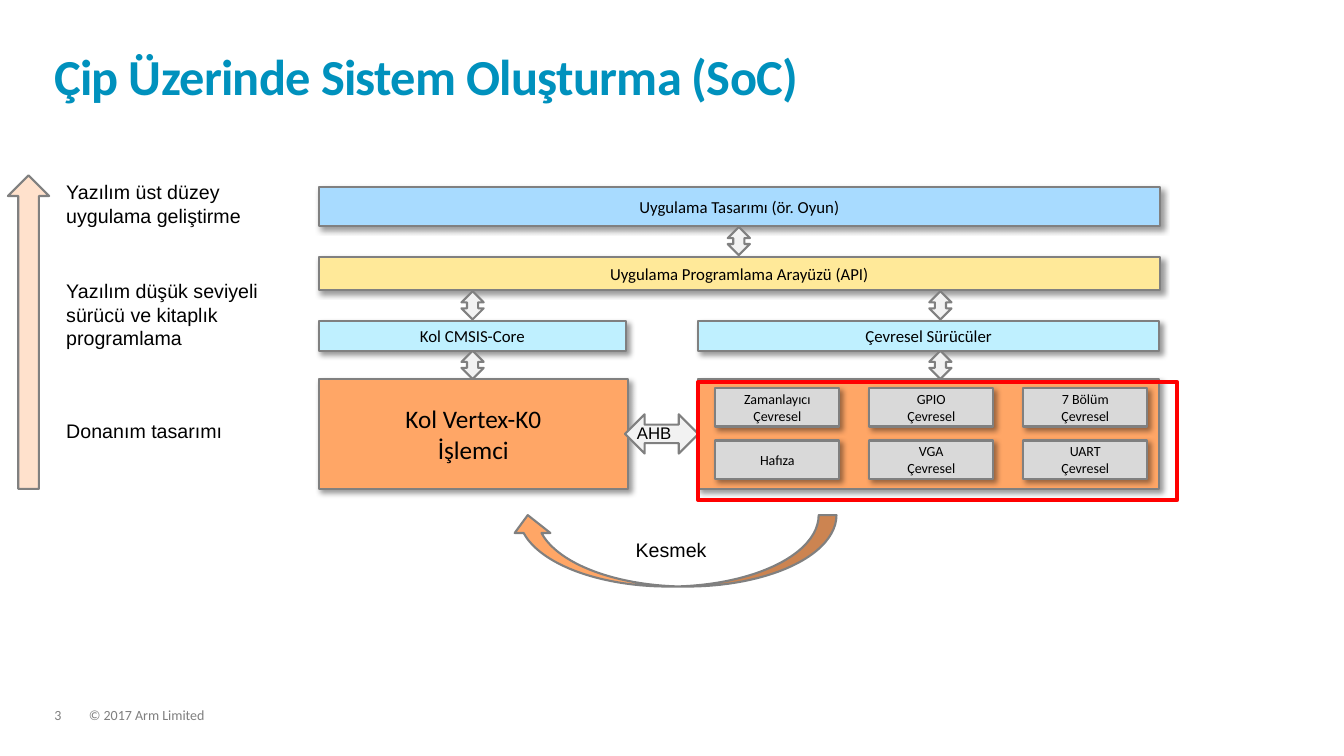
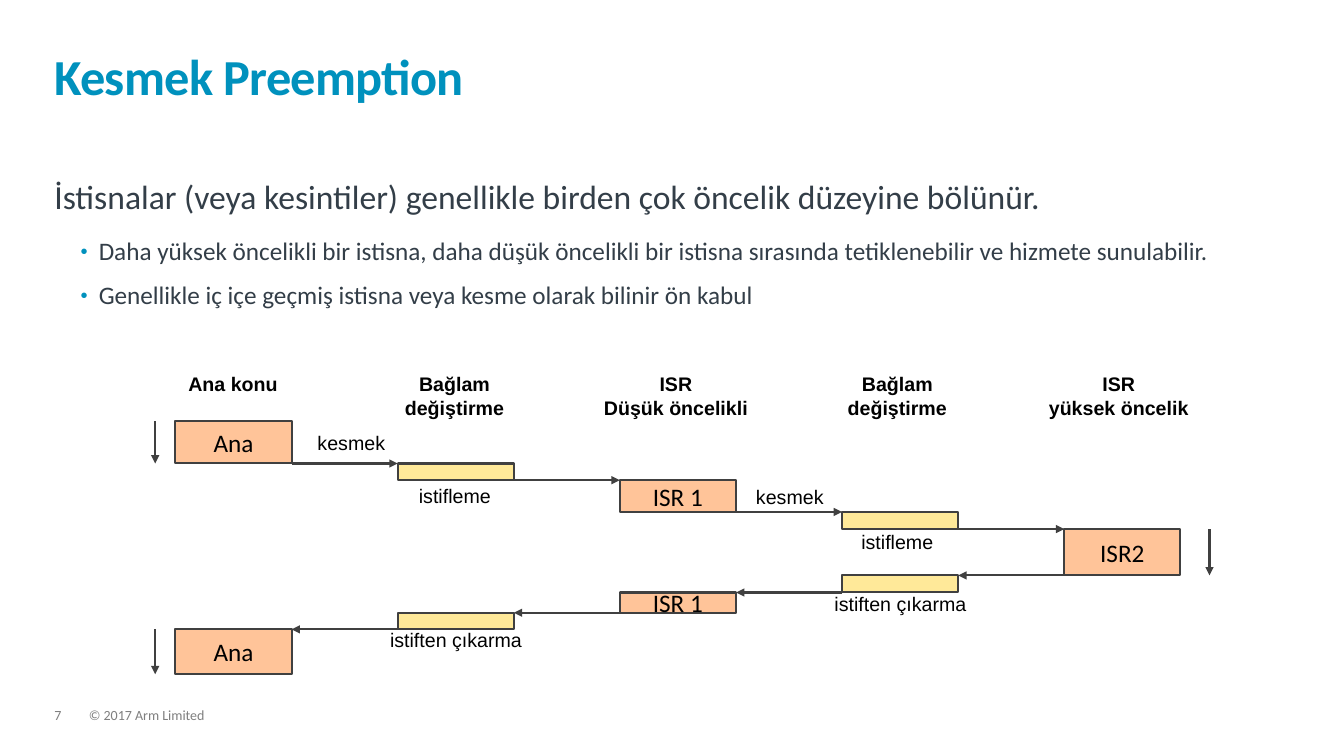
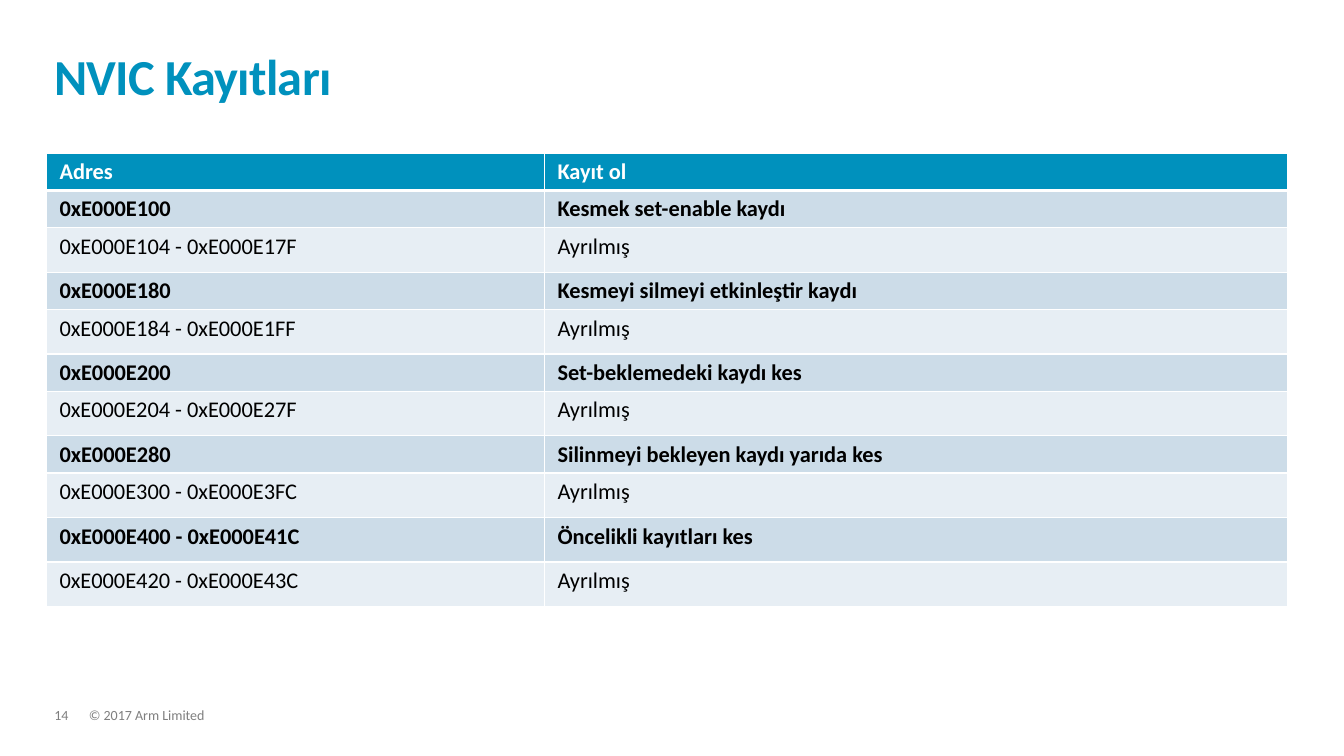
"""Build three slides on system-on-chip layers, interrupts and NVIC registers."""
from typing import Any, NamedTuple

from lxml import etree
from pptx import Presentation
from pptx.dml.color import RGBColor
from pptx.enum.shapes import MSO_CONNECTOR, MSO_SHAPE
from pptx.enum.text import MSO_ANCHOR, PP_ALIGN
from pptx.oxml.ns import qn
from pptx.util import Cm, Pt

RECT = MSO_SHAPE.RECTANGLE
UP = MSO_SHAPE.UP_ARROW
UPDOWN = MSO_SHAPE.UP_DOWN_ARROW
CURVED = MSO_SHAPE.CURVED_DOWN_ARROW
STRAIGHT = MSO_CONNECTOR.STRAIGHT
MIDDLE, BOTTOM = MSO_ANCHOR.MIDDLE, MSO_ANCHOR.BOTTOM
CENTER = PP_ALIGN.CENTER

TEAL, INK, BLACK, WHITE = "0091BD", "333E48", "000000", "FFFFFF"
GRAY, DARK, SILVER, PALE = "808080", "404040", "D9D9D9", "F2F2F2"
ORANGE, PEACH, CREAM = "FFA666", "FFC499", "FFE999"
SKY, ICE, RED, MUTED = "A8DBFF", "BFF0FF", "FF0000", "7F7F7F"

TIGHT = {"margin_left": 0, "margin_right": 0, "margin_top": 0, "margin_bottom": 0}
MID = {"alignment": CENTER}
FOOT = {"line_spacing": 0.9, "space_after": Pt(6)}


class Box(NamedTuple):
    """Place and size in centimetres."""
    x: float
    y: float
    w: float
    h: float


class Block(NamedTuple):
    """A filled shape with optional text."""
    box: Box
    fill: str | None = None
    text: str = ""
    size: float = 12
    kind: Any = RECT
    line: str = GRAY
    width: float = 1.5
    shade: bool = False
    turn: float = 0
    adjust: tuple = ()


class Label(NamedTuple):
    """A plain Arial caption."""
    text: str
    box: Box
    size: float = 14
    bold: bool = False
    form: dict = {}


class Stage(NamedTuple):
    """One step of the interrupt timeline."""
    col: int
    text: str = ""


def hue(code: str) -> RGBColor:
    """Turn a hex string into a colour."""
    return RGBColor.from_string(code)


def apply(item: Any, form: dict) -> None:
    """Set every attribute named in a dict."""
    for key, value in form.items():
        setattr(item, key, value)


def font(size: float, name: str = "Calibri", bold: bool = False) -> dict:
    """Collect font values."""
    return {"size": Pt(size), "name": name, "bold": bold}


def place(box: Box) -> list:
    """Convert a box to lengths."""
    return [Cm(side) for side in box]


def node(parent: Any, tag: str, **attrs: Any) -> Any:
    """Append a DrawingML element."""
    return etree.SubElement(parent, qn("a:" + tag), {k: str(v) for k, v in attrs.items()})


def write(frame: Any, text: str, look: dict, color: str, form: dict) -> None:
    """Write one paragraph per line of text."""
    for i, line in enumerate(text.split("\n")):
        para = frame.add_paragraph() if i else frame.paragraphs[0]
        run = para.add_run()
        run.text = line
        apply(para, form)
        apply(run.font, look)
        run.font.color.rgb = hue(color)


def add_text(slide: Any, box: Box, text: str, look: dict, color: str,
             form: dict, inset: dict = {}) -> Any:
    """Draw a wrapping text box."""
    frame = slide.shapes.add_textbox(*place(box)).text_frame
    apply(frame, {"word_wrap": True, **inset})
    write(frame, text, look, color, form)
    return frame


def add_label(slide: Any, label: Label) -> None:
    """Draw a caption."""
    look = font(label.size, "Arial", label.bold)
    add_text(slide, label.box, label.text, look, BLACK, label.form)


def add_block(slide: Any, block: Block) -> None:
    """Draw a shape with its line, shadow and text."""
    shape = slide.shapes.add_shape(block.kind, *place(block.box))
    shape.rotation = block.turn
    for i, value in enumerate(block.adjust):
        shape.adjustments[i] = value
    if block.fill:
        shape.fill.solid()
        shape.fill.fore_color.rgb = hue(block.fill)
    else:
        shape.fill.background()
    shape.line.color.rgb = hue(block.line)
    shape.line.width = Pt(block.width)
    shape.shadow.inherit = False
    if block.shade:
        effects = shape._element.spPr.find(qn("a:effectLst"))
        cast = node(effects, "outerShdw", blurRad=Pt(4), dist=Pt(3), dir=2700000,
                    algn="tl", rotWithShape=0)
        node(node(cast, "srgbClr", val=BLACK), "alpha", val=40000)
    if block.text:
        apply(shape.text_frame, {"word_wrap": False, "vertical_anchor": MIDDLE})
        write(shape.text_frame, block.text, font(block.size), BLACK, MID)


def add_arrow(slide: Any, x1: float, y1: float, x2: float, y2: float) -> None:
    """Draw a line with an arrowhead at its end."""
    line = slide.shapes.add_connector(STRAIGHT, Cm(x1), Cm(y1), Cm(x2), Cm(y2))
    line.line.color.rgb = hue(DARK)
    line.line.width = Pt(1.5)
    props = line._element.spPr
    node(props.find(qn("a:ln")), "tailEnd", type="triangle", w="med", len="med")
    node(props, "effectLst")


def add_slide(deck: Any, title: str, number: int) -> Any:
    """Start a slide with title and footer."""
    slide = deck.slides.add_slide(deck.slide_layouts[6])
    for x, wide, text in ((2.24, 23.19, "© 2017 Arm Limited"), (1.37, 0.86, str(number))):
        add_text(slide, Box(x, 17.86, wide, 0.38), text, font(10), MUTED, FOOT, TIGHT)
    head = add_text(slide, Box(1.37, 0.81, 31.06, 1.85), title, font(36, bold=True), TEAL,
                    {"line_spacing": 0.85}, {**TIGHT, "vertical_anchor": BOTTOM})
    head.paragraphs[0].runs[0].font._element.set("spc", "-50")
    return slide


def draw_layers(deck: Any) -> None:
    """Draw the system layers."""
    slide = add_slide(deck, "Çip Üzerinde Sistem Oluşturma (SoC)", 3)
    left, right, full, half = 8.03, 17.6, 21.21, 11.61
    layers = (
        (Box(left, 4.72, full, 0.97), SKY, "Uygulama Tasarımı (ör. Oyun)", 12),
        (Box(left, 6.48, full, 0.84), CREAM, "Uygulama Programlama Arayüzü (API)", 12),
        (Box(left, 8.1, 7.75, 0.74), ICE, "Kol CMSIS-Core", 12),
        (Box(right, 8.1, half, 0.74), ICE, "Çevresel Sürücüler", 12),
        (Box(left, 9.55, 7.8, 2.77), ORANGE, "Kol Vertex-K0\nİşlemci", 18),
        (Box(right, 9.55, half, 2.77), ORANGE, "", 12),
    )
    for layer in layers:
        add_block(slide, Block(*layer, shade=True))
    parts = ("Zamanlayıcı\nÇevresel", "GPIO\nÇevresel", "7 Bölüm\nÇevresel",
             "Hafıza", "VGA\nÇevresel", "UART\nÇevresel")
    for i, part in enumerate(parts):
        row, col = divmod(i, 3)
        box = Box(18.03 + 3.88 * col, 9.78 + 1.32 * row, 3.12, 0.97)
        add_block(slide, Block(box, SILVER, part, 10, shade=True))
    for x, y in ((18.34, 5.72), (11.63, 7.34), (11.63, 8.84), (23.42, 7.34), (23.42, 8.84)):
        add_block(slide, Block(Box(x, y, 0.56, 0.71), PALE, kind=UPDOWN))
    add_block(slide, Block(Box(0.2, 4.42, 1.04, 7.9), "FFE1CC", kind=UP))
    add_block(slide, Block(Box(16.18, 10.01, 0.99, 1.85), PALE, kind=UPDOWN, turn=90,
                           adjust=(0.57, 0.47)))
    add_block(slide, Block(Box(right, 9.63, 12.07, 2.97), line=RED, width=3))
    add_block(slide, Block(Box(12.85, 12.98, 8.23, 1.8), ORANGE, kind=CURVED, turn=180))
    for label in (
        Label("Yazılım üst düzey\nuygulama geliştirme", Box(1.42, 4.42, 7.67, 1.45)),
        Label("Yazılım düşük seviyeli sürücü ve kitaplık programlama",
              Box(1.42, 6.91, 6.58, 1.45)),
        Label("Donanım tasarımı", Box(1.42, 10.44, 6.2, 0.86)),
        Label("AHB", Box(15.8, 10.52, 2.11, 0.76), 12),
        Label("Kesmek", Box(15.77, 13.44, 3.84, 0.86)),
    ):
        add_label(slide, label)


def add_points(slide: Any, lead: str, points: tuple) -> None:
    """Write a lead line and bullets below it."""
    frame = add_text(slide, Box(1.37, 4.55, 31.06, 11.35), lead, font(24), INK,
                     {"line_spacing": 0.9, "space_after": Pt(16)}, TIGHT)
    for point in points:
        para = frame.add_paragraph()
        props = para._p.get_or_add_pPr()
        props.set("marL", str(Cm(1.12)))
        props.set("indent", str(Cm(-0.46)))
        node(node(props, "buClr"), "srgbClr", val=TEAL)
        node(props, "buSzPct", val=80000)
        node(props, "buFont", typeface="Arial")
        node(props, "buChar", char="•")
        apply(para, {"level": 1, "line_spacing": 0.9, "space_after": Pt(12), "text": point})
        apply(para.font, font(18))
        apply(para.runs[0].font, font(18))
        para.runs[0].font.color.rgb = hue(INK)


def draw_timeline(deck: Any) -> None:
    """Draw nested interrupts over time."""
    slide = add_slide(deck, "Kesmek Preemption", 7)
    add_points(slide, "İstisnalar (veya kesintiler) genellikle birden çok öncelik düzeyine bölünür.", (
        "Daha yüksek öncelikli bir istisna, daha düşük öncelikli bir istisna sırasında "
        "tetiklenebilir ve hizmete sunulabilir.",
        "Genellikle iç içe geçmiş istisna veya kesme olarak bilinir ön kabul"))
    heads = ("Ana konu", "Bağlam değiştirme", "ISR\nDüşük öncelikli",
             "Bağlam değiştirme", "ISR\nyüksek öncelik")
    for i, head in enumerate(heads):
        add_label(slide, Label(head, Box(3.45 + 5.58 * i, 9.25, 4.85, 0.86), 14, True, MID))

    times = (10.62, 11.68, 12.1, 12.9, 13.33, 14.5, 14.93, 15.44, 15.86, 16.99)
    stages = (Stage(0, "Ana"), Stage(1), Stage(2, "ISR 1"), Stage(3), Stage(4, "ISR2"),
              Stage(3), Stage(2, "ISR 1"), Stage(1), Stage(0, "Ana"))
    start, step, wide = 4.42, 5.6, 2.93
    for stage, top, end in zip(stages, times, times[1:]):
        box = Box(start + step * stage.col, top, wide, end - top)
        fill = PEACH if stage.text else CREAM
        add_block(slide, Block(box, fill, stage.text, 18, line=DARK))
    for here, there, y in zip(stages, stages[1:], times[1:]):
        x1, x2 = start + step * here.col, start + step * there.col
        if x1 < x2:
            add_arrow(slide, x1 + wide, y, x2, y)
        else:
            add_arrow(slide, x1, y, x2 + wide, y)
    for x, i in ((3.91, 0), (30.48, 4), (3.91, 8)):
        add_arrow(slide, x, times[i], x, times[i + 1])
    for text, x, y in (
        ("kesmek", 6.43, 10.74), ("kesmek", 17.48, 12.09),
        ("istifleme", 9.04, 12.07), ("istifleme", 20.19, 13.23),
        ("istiften çıkarma", 20.27, 14.78), ("istiften çıkarma", 9.07, 15.7),
    ):
        add_label(slide, Label(text, Box(x, y, 4.85, 0.86), form=MID))


def add_edges(cell: Any, top: float, bottom: float) -> None:
    """Give a cell white borders."""
    props = cell._tc.get_or_add_tcPr()
    sides = (("lnL", 1), ("lnR", 1), ("lnT", top), ("lnB", bottom))
    for i, (tag, width) in enumerate(sides):
        edge = node(props, tag, w=Pt(width))
        node(node(edge, "solidFill"), "srgbClr", val=WHITE)
        props.insert(i, edge)


def draw_table(deck: Any) -> None:
    """Draw the register table."""
    slide = add_slide(deck, "NVIC Kayıtları", 14)
    rows = (
        ("Adres", "Kayıt ol"),
        ("0xE000E100", "Kesmek set-enable kaydı"),
        ("0xE000E104 - 0xE000E17F", "Ayrılmış"),
        ("0xE000E180", "Kesmeyi silmeyi etkinleştir kaydı"),
        ("0xE000E184 - 0xE000E1FF", "Ayrılmış"),
        ("0xE000E200", "Set-beklemedeki kaydı kes"),
        ("0xE000E204 - 0xE000E27F", "Ayrılmış"),
        ("0xE000E280", "Silinmeyi bekleyen kaydı yarıda kes"),
        ("0xE000E300 - 0xE000E3FC", "Ayrılmış"),
        ("0xE000E400 - 0xE000E41C", "Öncelikli kayıtları kes"),
        ("0xE000E420 - 0xE000E43C", "Ayrılmış"),
    )
    inset = {"margin_left": Cm(0.33), "margin_right": Cm(0.33),
             "margin_top": Cm(0.13), "margin_bottom": Cm(0.13)}
    box = Box(1.17, 3.86, 31.27, 11.42)
    table = slide.shapes.add_table(len(rows), 2, *place(box)).table
    for col, wide in zip(table.columns, (12.55, 18.72)):
        col.width = Cm(wide)
    for r, row in enumerate(rows):
        table.rows[r].height = Cm(0.94 if r in (0, 1, 3, 5, 7) else 1.12)
        bold = r == 0 or r % 2 == 1
        fill = TEAL if r == 0 else "CCDCE8" if bold else "E7EEF4"
        for c, text in enumerate(row):
            cell = table.cell(r, c)
            apply(cell, inset)
            cell.fill.solid()
            cell.fill.fore_color.rgb = hue(fill)
            add_edges(cell, 3 if r == 1 else 1, 3 if r == 0 else 1)
            write(cell.text_frame, text, font(16, bold=bold), BLACK if r else WHITE, {})


def main() -> None:
    """Build and save the deck."""
    deck = Presentation()
    deck.slide_width, deck.slide_height = Cm(33.87), Cm(19.05)
    for draw in (draw_layers, draw_timeline, draw_table):
        draw(deck)
    deck.save("out.pptx")


if __name__ == "__main__":
    main()
